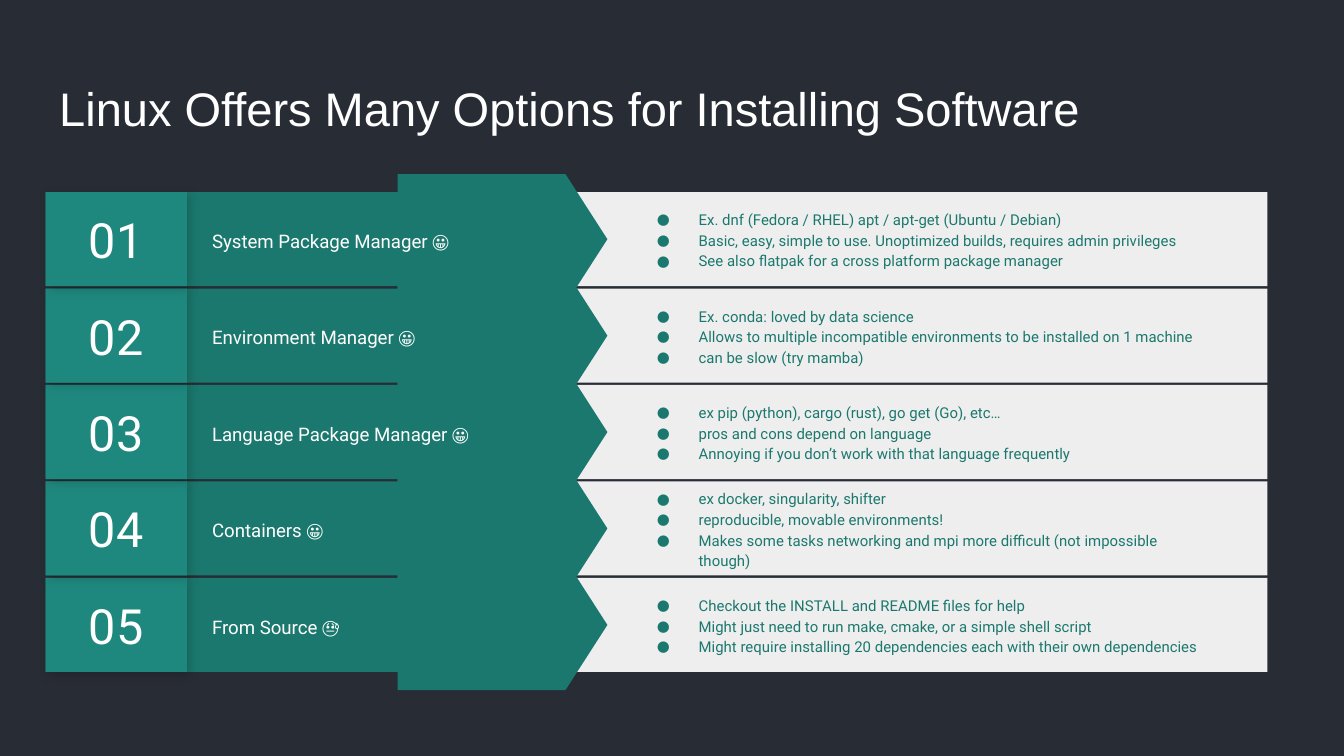
from lxml import etree
from pptx import Presentation
from pptx.dml.color import RGBColor
from pptx.enum.shapes import MSO_SHAPE as SHAPE
from pptx.enum.text import MSO_ANCHOR as ANCHOR, PP_ALIGN as ALIGN
from pptx.oxml import parse_xml
from pptx.oxml.ns import nsdecls, qn
from pptx.util import Inches, Pt

rgb = RGBColor.from_string
WHITE, PANEL, TEAL, NUMBER, UNDER = "FFFFFF", "EEEEEE", "1B786E", "1F887E", "1D7E74"

# Grid: a 16:9 slide, five equal rows, one column for each part
SLIDE_W, SLIDE_H = 10, 10 * 9 / 16
LEFT, TOP, LAST_TOP, ROW_H = 0.34, 1.43, 4.3, 0.7
NUM_W = 1.05
LABEL_X = LEFT + NUM_W
ARROW_W, ARROW_H, ARROW_MID = 1.56, 0.97, 3.74

ROWS = [
    ("System Package Manager 😀", [
        "Ex. dnf (Fedora / RHEL) apt / apt-get (Ubuntu / Debian)",
        "Basic, easy, simple to use. Unoptimized builds, requires admin privileges",
        "See also flatpak for a cross platform package manager"]),
    ("Environment Manager 😀", [
        "Ex. conda: loved by data science",
        "Allows to multiple incompatible environments to be installed on 1 machine",
        "can be slow (try mamba)"]),
    ("Language Package Manager 😀", [
        "ex pip (python), cargo (rust), go get (Go), etc…",
        "pros and cons depend on language",
        "Annoying if you don’t work with that language frequently"]),
    ("Containers 😀", [
        "ex docker, singularity, shifter",
        "reproducible, movable environments!",
        "Makes some tasks networking and mpi more difficult (not impossible though)"]),
    ("From Source 😓", [
        "Checkout the INSTALL and README files for help",
        "Might just need to run make, cmake, or a simple shell script",
        "Might require installing 20 dependencies each with their own dependencies"]),
]


def write(sp, *lines, size, color=WHITE, font="Roboto", align=ALIGN.LEFT,
          spacing=None, bullet=None):
    tf = sp.text_frame
    tf.word_wrap = True
    tf.vertical_anchor = ANCHOR.MIDDLE
    tf.margin_left = tf.margin_right = tf.margin_top = tf.margin_bottom = Inches(0.1)
    for i, line in enumerate(lines):
        p = tf.add_paragraph() if i else tf.paragraphs[0]
        if bullet:
            pPr = p._p.get_or_add_pPr()
            pPr.set("marL", str(Inches(0.5)))
            pPr.set("indent", str(Inches(-0.31)))
            clr = etree.SubElement(pPr, qn("a:buClr"))
            etree.SubElement(clr, qn("a:srgbClr"), val=color)
            etree.SubElement(pPr, qn("a:buFont"), typeface=font)
            etree.SubElement(pPr, qn("a:buChar"), char=bullet)
        p.alignment = align
        p.line_spacing = spacing
        r = p.add_run()
        r.text = line
        r.font.size, r.font.name = Pt(size), font
        r.font.color.rgb = rgb(color)


def block(shapes, x, y, w, h, fill, kind=SHAPE.RECTANGLE):
    sp = shapes.add_shape(kind, Inches(x), Inches(y), Inches(w), Inches(h))
    sp.shadow.inherit = False
    sp.fill.solid()
    sp.fill.fore_color.rgb = rgb(fill)
    sp.line.fill.background()
    return sp


prs = Presentation()
prs.slide_width, prs.slide_height = Inches(SLIDE_W), Inches(SLIDE_H)
s = prs.slides.add_slide(prs.slide_layouts[5])
s.background.fill.solid()
s.background.fill.fore_color.rgb = rgb("282C34")

# Title
title = s.shapes.title
title.left, title.top = Inches(LEFT), Inches(0.49)
title.width, title.height = Inches(SLIDE_W - 2 * LEFT), Inches(0.63)
write(title, "Linux Offers Many Options for Installing Software", size=25.2, font="Arial")

# Rows, from the bottom up so that each arrow lies over the row below
pitch = (LAST_TOP - TOP) / (len(ROWS) - 1)
for i, (name, notes) in reversed(list(enumerate(ROWS))):
    y = TOP + i * pitch
    row = s.shapes.add_group_shape().shapes

    # Panel, label band and arrow
    block(row, 3.6, y, 5.83, ROW_H, PANEL)
    block(row, LABEL_X, y, 2.81, ROW_H, TEAL)
    arrow = block(row, ARROW_MID - ARROW_H / 2, y + (ROW_H - ARROW_W) / 2,
                  ARROW_H, ARROW_W, TEAL, SHAPE.FLOWCHART_OFFPAGE_CONNECTOR)
    arrow.rotation = 270
    label = row.add_textbox(Inches(1.48), Inches(y + 0.08), Inches(2.96), Inches(0.54))
    write(label, name, size=10, spacing=1.15)

    # Number with a soft shadow below
    under = block(row, LEFT, y, NUM_W, ROW_H, UNDER)
    under._element.spPr.find(qn("a:effectLst")).append(parse_xml(
        f'<a:outerShdw {nsdecls("a")} blurRad="{Pt(5.6)}" dist="{Pt(2.2)}" dir="2700000"'
        ' algn="bl" rotWithShape="0"><a:srgbClr val="000000"><a:alpha val="17000"/>'
        '</a:srgbClr></a:outerShdw>'))
    number = block(row, LEFT, y, NUM_W, ROW_H, NUMBER)
    write(number, f"{i + 1:02}", size=26, align=ALIGN.CENTER)

    # Notes
    body = row.add_textbox(Inches(4.6), Inches(y), Inches(4.53), Inches(ROW_H))
    write(body, *notes, size=8, color=TEAL, spacing=1.15, bullet="●")

prs.save("out.pptx")
